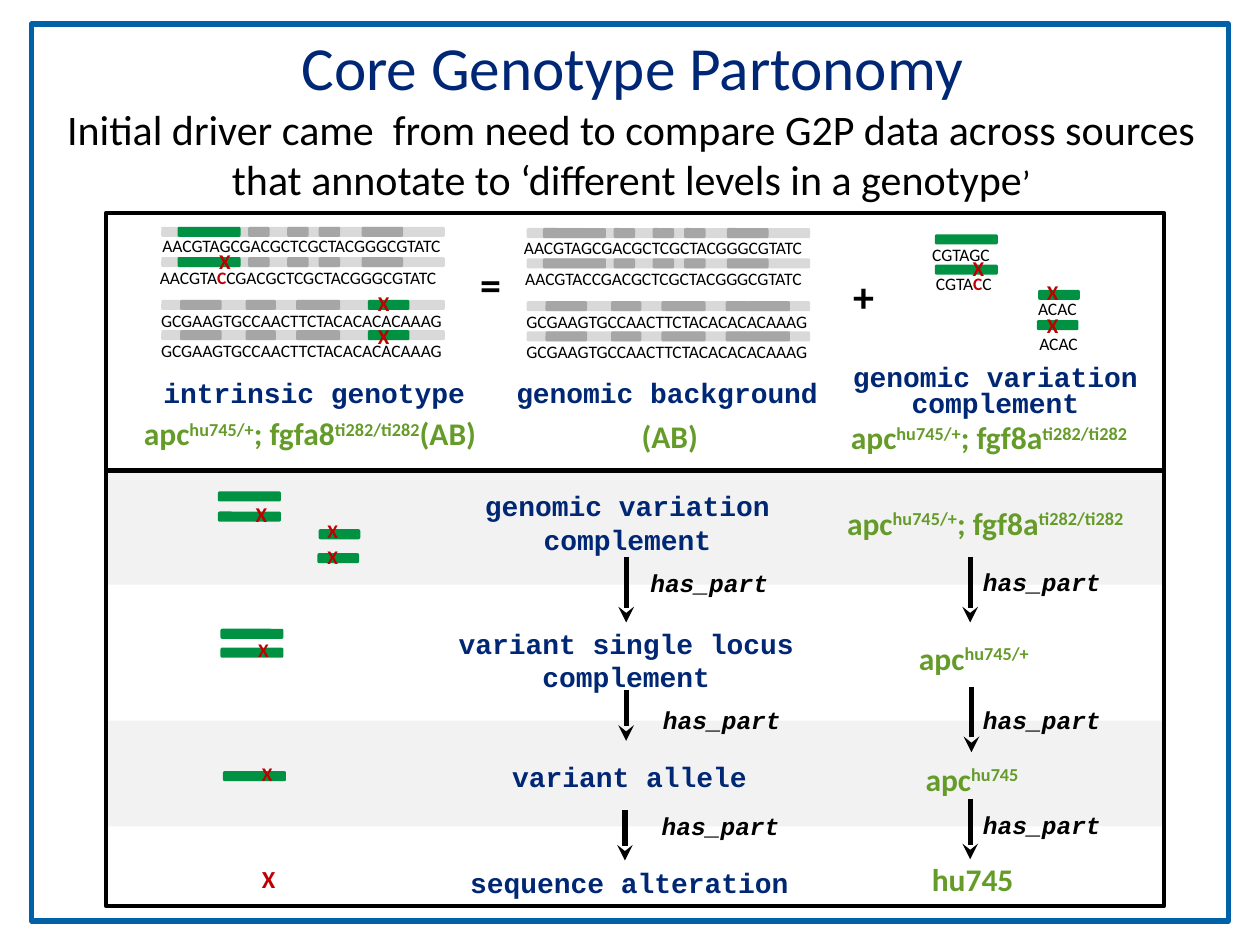
from dataclasses import dataclass, field

from lxml import etree
from pptx import Presentation
from pptx.dml.color import RGBColor
from pptx.enum.shapes import MSO_CONNECTOR, MSO_SHAPE
from pptx.enum.text import MSO_ANCHOR, MSO_AUTO_SIZE, PP_ALIGN
from pptx.oxml.ns import qn
from pptx.util import Inches, Pt

RECT, ROUNDED = MSO_SHAPE.RECTANGLE, MSO_SHAPE.ROUNDED_RECTANGLE
STRAIGHT = MSO_CONNECTOR.STRAIGHT
LEFT, CENTER = PP_ALIGN.LEFT, PP_ALIGN.CENTER
TOP = MSO_ANCHOR.TOP
GROW, FIXED = MSO_AUTO_SIZE.SHAPE_TO_FIT_TEXT, MSO_AUTO_SIZE.NONE


@dataclass(frozen=True)
class TextStyle:
    size: float
    color: str
    name: str = "Calibri"
    bold: bool = False
    italic: bool = False
    align: int = CENTER
    accent: dict = field(default_factory=dict)  # changes for text between bars


@dataclass(frozen=True)
class Theme:
    black = "000000"
    navy = "002774"
    border = "0060A8"
    band = "F2F2F2"
    chromosome = "D9D9D9"
    gene = "A6A6A6"
    variant_gene = "009242"
    mutation = "C00000"
    genotype_green = "659B29"
    title = TextStyle(35, "002776")
    subtitle = TextStyle(24, black, accent={"size": 20})
    term = TextStyle(16, navy, "Courier New", bold=True)
    relation = TextStyle(14, black, "Courier New", bold=True, italic=True)
    operator = TextStyle(24, black, bold=True)
    genotype = TextStyle(18, genotype_green, bold=True, accent={"baseline": "30000"})
    sequence = TextStyle(10, black, align=LEFT, accent={"color": mutation, "bold": True})


THEME = Theme()

# Genes on a chromosome: offset from its left end, width
FIRST_GENES = [(0.13, 0.5), (0.69, 0.17), (1, 0.17), (1.25, 0.17), (1.59, 0.33)]
SECOND_GENES = [(0.15, 0.33), (0.67, 0.24), (1.07, 0.35)]
VARIANT_GENE = (1.64, 0.33)
BACKGROUND_GENES = [(1.58, 0.18), (1.75, 0.34)]
CHROMOSOME_TOPS = [1.8, 2.04, 2.38, 2.62]

FIRST_SEQUENCE = "AACGTAGCGACGCTCGCTACGGGCGTATC"
SECOND_SEQUENCE = "GCGAAGTGCCAACTTCTACACACACAAAG"
COMPLEMENT = "apc|hu745/+|; fgf8a|ti282/ti282|"


def format_run(run, style, accented):
    values = {"name": style.name, "size": style.size, "bold": style.bold,
              "italic": style.italic, "color": style.color}
    if accented:
        values.update(style.accent)
    run.font.color.rgb = RGBColor.from_string(values.pop("color"))
    baseline = values.pop("baseline", None)
    values["size"] = Pt(values["size"])
    for attribute, value in values.items():
        setattr(run.font, attribute, value)
    if baseline:
        run.font._element.set("baseline", baseline)


def add_text(slide, place, text, style, wrap=False, auto_size=GROW, spacing=None):
    frame = slide.shapes.add_textbox(*map(Inches, place)).text_frame
    settings = {"word_wrap": wrap, "auto_size": auto_size, "vertical_anchor": TOP}
    for attribute, value in settings.items():
        setattr(frame, attribute, value)
    for number, line in enumerate(text.split("\n")):
        paragraph = frame.add_paragraph() if number else frame.paragraphs[0]
        paragraph.alignment = style.align
        if spacing:
            paragraph.line_spacing = Pt(spacing)
        for position, piece in enumerate(line.split("|")):
            if piece:
                run = paragraph.add_run()
                run.text = piece
                format_run(run, style, position % 2 == 1)


def add_block(slide, place, fill=None, line=None, weight=2.25, kind=RECT):
    block = slide.shapes.add_shape(kind, *map(Inches, place))
    block.shadow.inherit = False
    if fill:
        block.fill.solid()
        block.fill.fore_color.rgb = RGBColor.from_string(fill)
    else:
        block.fill.background()
    if line:
        block.line.color.rgb = RGBColor.from_string(line)
        block.line.width = Pt(weight)
    else:
        block.line.fill.background()


def add_gene(slide, left, top, width, color=THEME.variant_gene):
    add_block(slide, (left, top, width, 0.08), color, kind=ROUNDED)


def add_chromosome(slide, left, top, genes, variant=None):
    add_gene(slide, left, top, 2.25, THEME.chromosome)
    for gene in genes:
        color = THEME.variant_gene if gene == variant else THEME.gene
        add_gene(slide, left + gene[0], top, gene[1], color)


def add_mutation(slide, left, top, size=12):
    width, height = {11: (0.29, 0.29), 12: (0.29, 0.3), 14: (0.31, 0.34)}[size]
    style = TextStyle(size, THEME.mutation, bold=True, align=LEFT)
    add_text(slide, (left, top, width, height), "X", style)


def add_arrow(slide, x, top, bottom):
    arrow = slide.shapes.add_connector(
        STRAIGHT, Inches(x), Inches(top), Inches(x), Inches(bottom))
    arrow.line.color.rgb = RGBColor.from_string(THEME.black)
    arrow.line.width = Pt(3)
    etree.SubElement(arrow.line._get_or_add_ln(), qn("a:tailEnd"), type="stealth")
    etree.SubElement(arrow._element.spPr, qn("a:effectLst"))


def add_frames(slide):
    add_block(slide, (0.86, 5.72, 8.37, 0.84), THEME.band)
    add_block(slide, (0.85, 3.72, 8.39, 0.92), THEME.band)
    add_block(slide, (0.84, 1.69, 8.4, 2.04), line=THEME.black)
    add_block(slide, (0.84, 3.74, 8.4, 3.45), line=THEME.black)
    add_block(slide, (0.25, 0.19, 9.5, 7.12), line=THEME.border, weight=3)


def add_headings(slide):
    add_text(slide, (0.52, 0.18, 9, 1.41), "Core Genotype Partonomy", THEME.title,
             wrap=True, auto_size=FIXED)
    add_text(slide, (0.42, 0.77, 9.18, 0.91),
             "Initial driver came  from need to compare G2P data across sources "
             "that annotate to ‘different levels in a genotype|’|", THEME.subtitle, wrap=True)


def add_equation(slide):
    # Chromosome pairs of the intrinsic genotype and of the background
    for number, top in enumerate(CHROMOSOME_TOPS):
        first = number < 2
        genes = FIRST_GENES if first else SECOND_GENES + [VARIANT_GENE]
        variant = FIRST_GENES[0] if first else VARIANT_GENE
        add_chromosome(slide, 1.28, top, genes, variant)
        genes = FIRST_GENES if first else SECOND_GENES + BACKGROUND_GENES
        add_chromosome(slide, 4.18, top + 0.01, genes)

    # Two genes of the variation complement
    for top in (1.86, 2.1):
        add_gene(slide, 7.42, top, 0.5)
    for left, top in ((8.24, 2.3), (8.23, 2.54)):
        add_gene(slide, left, top, 0.33)
    for left, top in ((1.64, 1.92), (2.9, 2.26), (2.9, 2.52),
                      (7.62, 1.98), (8.21, 2.17), (8.21, 2.43)):
        add_mutation(slide, left, top)

    # Base sequences
    for left, top, width, bases in (
            (1.19, 1.82, 2.49, FIRST_SEQUENCE),
            (1.17, 2.07, 2.49, "AACGTA|C|CGACGCTCGCTACGGGCGTATC"),
            (1.18, 2.41, 2.49, SECOND_SEQUENCE), (1.18, 2.65, 2.49, SECOND_SEQUENCE),
            (4.06, 1.83, 2.49, FIRST_SEQUENCE),
            (4.07, 2.08, 2.49, "AACGTACCGACGCTCGCTACGGGCGTATC"),
            (4.08, 2.42, 2.49, SECOND_SEQUENCE), (4.08, 2.66, 2.49, SECOND_SEQUENCE),
            (7.3, 1.89, 0.68, "CGTAGC"), (7.33, 2.12, 0.68, "CGTA|C|C"),
            (8.14, 2.32, 0.52, "ACAC"), (8.15, 2.59, 0.52, "ACAC")):
        add_text(slide, (left, top, width, 0.27), bases, THEME.sequence)

    # Operators, terms and genotypes
    add_text(slide, (3.71, 2, 0.37, 0.5), "=", THEME.operator)
    add_text(slide, (6.67, 2.1, 0.37, 0.5), "+", THEME.operator)
    add_text(slide, (1.18, 2.93, 2.63, 0.37), "intrinsic genotype", THEME.term)
    add_text(slide, (3.98, 2.93, 2.63, 0.37), "genomic background", THEME.term)
    add_text(slide, (6.65, 2.86, 2.5, 0.54), "genomic variation\ncomplement",
             THEME.term, spacing=15)
    add_text(slide, (0.92, 3.24, 3.08, 0.4), "apc|hu745/+|; fgfa8|ti282/ti282|(AB)",
             THEME.genotype, wrap=True)
    add_text(slide, (4.99, 3.26, 0.65, 0.4), "(AB)", THEME.genotype)
    add_text(slide, (6.55, 3.27, 2.6, 0.4), COMPLEMENT, THEME.genotype)


def add_partonomy(slide):
    # Variant genes and their mutations
    for left, top, width in ((1.73, 3.9, 0.5), (1.73, 4.06, 0.5), (2.53, 4.2, 0.33),
                             (2.52, 4.39, 0.33), (1.75, 4.99, 0.5), (1.75, 5.14, 0.5),
                             (1.77, 6.12, 0.5)):
        add_gene(slide, left, top, width)
    for left, top, size in ((1.93, 3.93, 12), (2.5, 4.07, 11), (2.5, 4.28, 11),
                            (1.95, 5.02, 11), (1.98, 6, 11), (1.98, 6.81, 14)):
        add_mutation(slide, left, top, size)

    # Terms of each level
    for place, term, spacing in (
            ((3.73, 3.83, 2.5, 0.64), "genomic variation\ncomplement", None),
            ((3.52, 4.92, 2.9, 0.64), "variant single locus\ncomplement", None),
            ((3.95, 6.04, 2.09, 0.54), "variant allele", 15),
            ((3.61, 6.82, 2.77, 0.37), "sequence alteration", None)):
        add_text(slide, place, term, THEME.term, spacing=spacing)

    # Example genotype of each level
    for left, top, width, genotype in (
            (6.52, 3.95, 2.6, COMPLEMENT), (7.15, 5.02, 1.16, "apc|hu745/+|"),
            (7.21, 5.98, 1.01, "apc|hu745|"), (7.29, 6.78, 0.86, "hu745")):
        add_text(slide, (left, top, width, 0.4), genotype, THEME.genotype)

    # Part relations between levels
    for x, top, bottom in ((4.97, 4.42, 4.94), (4.97, 5.48, 5.88), (4.96, 6.43, 6.83),
                           (7.7, 4.42, 4.94), (7.71, 5.45, 5.97), (7.7, 6.34, 6.82)):
        add_arrow(slide, x, top, bottom)
    for left, top in ((5.06, 4.46), (5.16, 5.55), (5.15, 6.39),
                      (7.7, 4.45), (7.7, 5.55), (7.7, 6.38)):
        add_text(slide, (left, top, 1.14, 0.34), "has_part", THEME.relation)


def main():
    deck = Presentation()
    deck.slide_width, deck.slide_height = Inches(10), Inches(7.5)
    slide = deck.slides.add_slide(deck.slide_layouts[6])
    add_frames(slide)
    add_headings(slide)
    add_equation(slide)
    add_partonomy(slide)
    deck.save("out.pptx")


if __name__ == "__main__":
    main()
